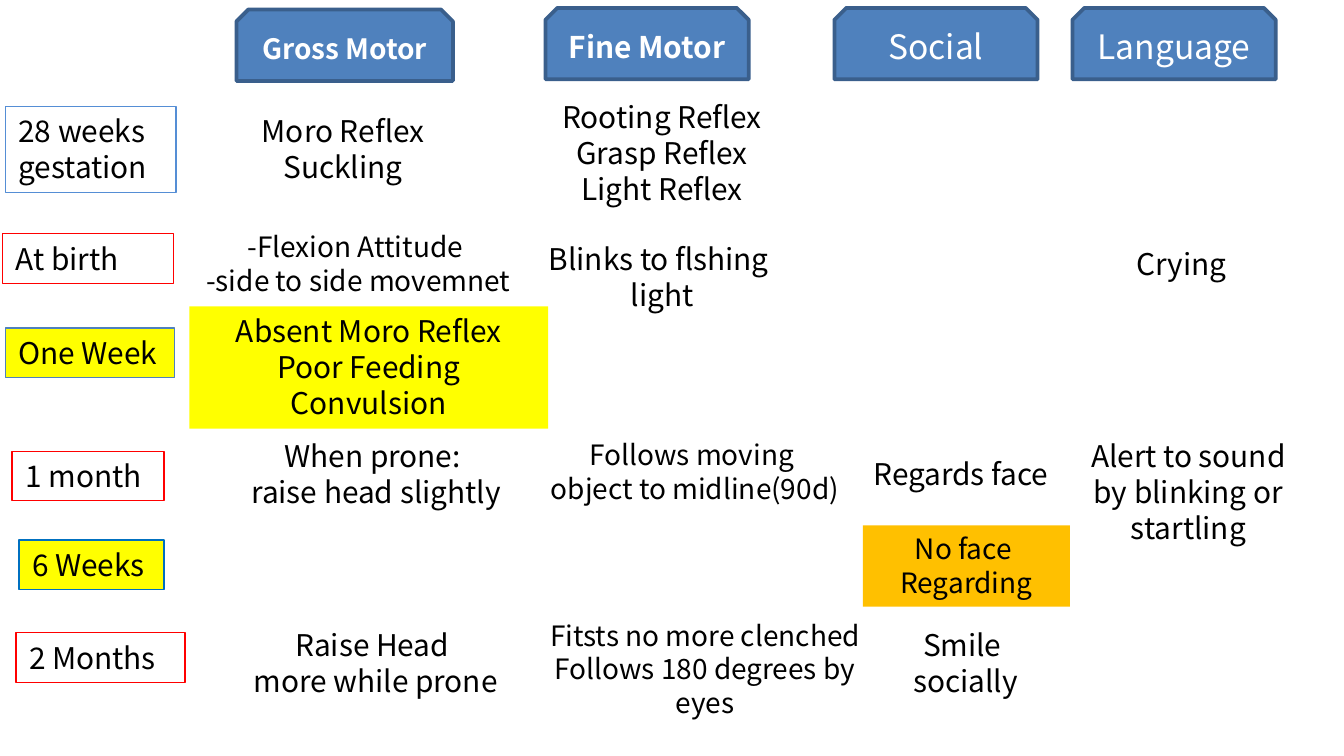
from dataclasses import dataclass

from pptx import Presentation
from pptx.dml.color import RGBColor
from pptx.enum.shapes import MSO_SHAPE as Shape
from pptx.enum.text import MSO_ANCHOR as Anchor
from pptx.enum.text import MSO_AUTO_SIZE as AutoSize
from pptx.enum.text import PP_ALIGN as Align
from pptx.util import Cm, Pt

FONT = "Noto Sans CJK KR"
BLACK, WHITE, RED = "000000", "FFFFFF", "FF0000"
YELLOW, ORANGE = "FFFF00", "FFC000"
BLUE, DARK_BLUE = "4F81BD", "3A5F8C"


@dataclass
class Header:
    text: str
    left: float
    size: int = 18
    bold: bool = False
    top: float = 0.15
    width: float = 3.84


@dataclass
class Age:
    text: str
    left: float
    top: float
    width: float
    line: str = RED
    fill: str | None = None
    lines: int = 1


@dataclass
class Milestone:
    text: str
    left: float
    top: float
    width: float
    size: int = 16
    fill: str | None = None
    lines: int = 0  # 0: one line per paragraph
    align: Align = Align.CENTER


HEADERS = [
    Header("Gross Motor", 4.47, 15, True, top=0.18, width=4.09),
    Header("Fine Motor", 10.31, 16, True),
    Header("Social", 15.77),
    Header("Language", 20.27),
]

AGES = [
    Age("28 weeks gestation", 0.1, 2.01, 3.23, line="558ED5", lines=2),
    Age("At birth", 0.05, 4.42, 3.23),
    Age("One Week", 0.1, 6.2, 3.2, line=BLUE, fill=YELLOW),
    Age("1 month", 0.23, 8.53, 2.87),
    Age("6 Weeks", 0.36, 10.21, 2.74, line="0070C0", fill=YELLOW),
    Age("2 Months", 0.3, 11.96, 3.2),
]

MILESTONES = [
    # 28 weeks gestation
    Milestone("Moro Reflex\nSuckling", 4.29, 2.01, 4.39),
    Milestone("Rooting Reflex\nGrasp Reflex\nLight Reflex", 9.91, 1.75, 5.21),
    # At birth
    Milestone("-Flexion Attitude \n-side to side movemnet", 3.45, 4.22, 6.65, 15),
    Milestone("Blinks to flshing \nlight", 9.91, 4.42, 5.21),
    Milestone("Crying", 21.23, 4.52, 3.4, align=Align.LEFT),
    # One week
    Milestone("Absent Moro Reflex\nPoor Feeding\nConvulsion", 3.58, 5.79, 6.78, fill=YELLOW),
    # 1 month
    Milestone("When prone:\n raise head slightly", 4.29, 8.15, 5.51),
    Milestone("Follows moving \nobject to midline(90d)", 10.11, 8.15, 6.05, 15),
    Milestone("Regards face", 16.26, 8.48, 4.42, align=Align.LEFT),
    Milestone("Alert to sound by blinking or startling", 20.29, 8.15, 4.34, lines=3),
    # 6 weeks
    Milestone("No face \nRegarding", 16.31, 9.93, 3.91, 15, fill=ORANGE),
    # 2 months
    Milestone("Raise Head \nmore while prone", 4.52, 11.73, 5.16),
    Milestone("Fitsts no more clenched \nFollows 180 degrees by eyes", 10.11, 11.56, 6.43, 15, lines=3),
    Milestone("Smile \nsocially", 16.89, 11.73, 2.72),
]


def color(value: str) -> RGBColor:
    return RGBColor.from_string(value)


def paint(shape, fill: str | None, line: str | None, width: float = 0.75) -> None:
    if fill:
        shape.fill.solid()
        shape.fill.fore_color.rgb = color(fill)
    if line:
        shape.line.color.rgb = color(line)
        shape.line.width = Pt(width)


def write(shape, text: str, size: int, align: Align,
          font_color: str = BLACK, bold: bool = False) -> None:
    frame = shape.text_frame
    frame.word_wrap = True
    frame.text = text
    for paragraph in frame.paragraphs:
        paragraph.alignment = align
        font = paragraph.font
        font.name, font.size, font.bold = FONT, Pt(size), bold
        font.color.rgb = color(font_color)


def draw_header(slide, header: Header) -> None:
    shape = slide.shapes.add_shape(
        Shape.SNIP_2_SAME_RECTANGLE,
        Cm(header.left), Cm(header.top), Cm(header.width), Cm(1.35))
    shape.shadow.inherit = False
    paint(shape, BLUE, DARK_BLUE, 2)
    write(shape, header.text, header.size, Align.CENTER, WHITE, header.bold)
    shape.text_frame.vertical_anchor = Anchor.MIDDLE


def draw_box(slide, item: Age | Milestone, size: int, lines: int,
             align: Align, line: str | None = None) -> None:
    height = 0.25 + 0.043 * size * lines
    box = slide.shapes.add_textbox(
        Cm(item.left), Cm(item.top), Cm(item.width), Cm(height))
    paint(box, item.fill, line)
    write(box, item.text, size, align)
    box.text_frame.auto_size = AutoSize.SHAPE_TO_FIT_TEXT


def main() -> None:
    presentation = Presentation()
    presentation.slide_width, presentation.slide_height = Cm(25.4), Cm(14.29)
    slide = presentation.slides.add_slide(presentation.slide_layouts[6])

    # Age labels down the left side
    for age in AGES:
        draw_box(slide, age, 16, age.lines, Align.LEFT, age.line)

    # Milestones by age and domain
    for milestone in MILESTONES:
        lines = milestone.lines or len(milestone.text.split("\n"))
        draw_box(slide, milestone, milestone.size, lines, milestone.align)

    # Domain headers across the top
    for header in HEADERS:
        draw_header(slide, header)

    presentation.save("out.pptx")


if __name__ == "__main__":
    main()
